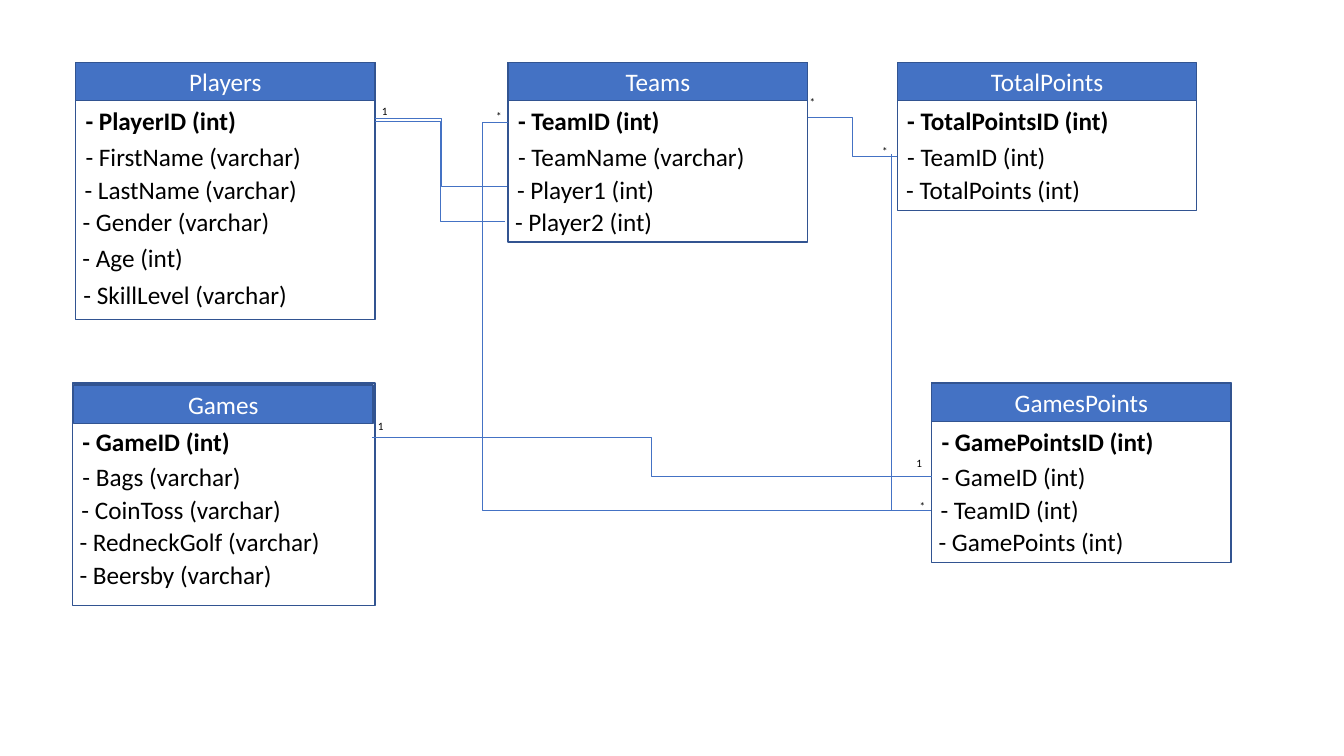
import pptx
import pptx.dml.color
import pptx.enum.shapes
import pptx.enum.text
import pptx.oxml
import pptx.oxml.ns
import pptx.util
from pptx.util import Inches

COLORS = {"header": "4472C4", "border": "325491", "title": "FFFFFF", "text": "000000"}
HEADER_WIDTH, HEADER_HEIGHT = 2.97, 0.38
ROW_SHIFTS = [0, 0, -0.01, -0.03, -0.03, -0.02]
ROW_DROPS = [0.38, 0.73, 1.06, 1.38, 1.74, 2.1]
GAME_DROPS = [0.38, 0.73, 1.06, 1.37, 1.7]

# name, frame (left, top, width, height), header (left, top), row drops, fields with widths
TABLES = [
    ("Players", (0.75, 0.62, 2.97, 2.55), (0.75, 0.62), ROW_DROPS,
     [("PlayerID (int)", 1.8), ("FirstName (varchar)", 2.85), ("LastName (varchar)", 2.31),
      ("Gender (varchar)", 2.31), ("Age (int)", 1.8), ("SkillLevel (varchar)", 2.3)]),
    ("Teams", (5.04, 0.62, 2.97, 1.78), (5.04, 0.62), ROW_DROPS,
     [("TeamID (int)", 1.8), ("TeamName (varchar)", 2.74),
      ("Player1 (int)", 2.36), ("Player2 (int)", 2.34)]),
    ("TotalPoints", (8.9, 0.64, 2.97, 1.45), (8.9, 0.62), ROW_DROPS,
     [("TotalPointsID (int)", 2.57), ("TeamID (int)", 1.8), ("TotalPoints (int)", 2.57)]),
    ("Games", (0.72, 3.8, 3.0, 2.21), (0.73, 3.82), GAME_DROPS,
     [("GameID (int)", 1.8), ("Bags (varchar)", 1.8), ("CoinToss (varchar)", 2.31),
      ("RedneckGolf (varchar)", 2.92), ("Beersby (varchar)", 2.92)]),
    ("GamesPoints", (9.24, 3.8, 2.97, 1.78), (9.24, 3.8), GAME_DROPS,
     [("GamePointsID (int)", 2.33), ("GameID (int)", 2.18),
      ("TeamID (int)", 2.31), ("GamePoints (int)", 2.92)]),
]

# start, end, preset, bend position in 1/100000 of the width
RELATIONS = [
    ((8.01, 1.16), (8.9, 1.55), "bentConnector3", 50000),
    ((5.04, 1.21), (9.23, 5.06), "bentConnector3", -6000),
    ((9.24, 4.73), (3.69, 4.34), "bentConnector3", 50000),
    ((3.72, 1.17), (5.03, 1.85), "bentConnector3", 50000),
    ((3.72, 1.2), (5.01, 2.2), "bentConnector3", 50000),
    ((9.23, 5.06), (8.84, 1.53), "bentConnector2", None),
]

CARDINALITIES = [
    ("1", 3.69, 0.99), ("*", 8.03, 0.9), ("1", 3.65, 4.11), ("1", 8.99, 4.48),
    ("*", 4.92, 1.04), ("*", 9.12, 4.9), ("*", 8.75, 1.38),
]

deck = pptx.Presentation()
deck.slide_width, deck.slide_height = Inches(13.33), Inches(7.5)
page = deck.slides.add_slide(deck.slide_layouts[6])


def write(box, text, color="text", size=18, bold=False, wrap=True):
    """Put one formatted line of text in a box and return its paragraph."""
    box.text_frame.word_wrap = wrap
    para = box.text_frame.paragraphs[0]
    span = para.add_run()
    span.text = text
    formats = {"name": "Calibri", "size": pptx.util.Pt(size), "bold": bold}
    for key, value in formats.items():
        setattr(span.font, key, value)
    span.font.color.rgb = pptx.dml.color.RGBColor.from_string(COLORS[color])
    return para


def add_rectangle(left, top, width, height, fill=None):
    """Add a bordered rectangle, hollow unless a fill is named."""
    box = page.shapes.add_shape(
        pptx.enum.shapes.MSO_SHAPE.RECTANGLE,
        Inches(left), Inches(top), Inches(width), Inches(height))
    box.shadow.inherit = False
    if fill:
        box.fill.solid()
        box.fill.fore_color.rgb = pptx.dml.color.RGBColor.from_string(COLORS[fill])
    else:
        box.fill.background()
    box.line.color.rgb = pptx.dml.color.RGBColor.from_string(COLORS["border"])
    box.line.width = pptx.util.Pt(1)
    return box


for name, frame, header_corner, drops, fields in TABLES:
    add_rectangle(*frame)
    header = add_rectangle(*header_corner, HEADER_WIDTH, HEADER_HEIGHT, "header")
    header.text_frame.vertical_anchor = pptx.enum.text.MSO_ANCHOR.MIDDLE
    write(header, name, "title").alignment = pptx.enum.text.PP_ALIGN.CENTER
    for row, (field, width) in enumerate(fields):
        box = page.shapes.add_textbox(
            Inches(frame[0] + ROW_SHIFTS[row]), Inches(header_corner[1] + drops[row])
            if name != "Games" else Inches(frame[1] + drops[row]),
            Inches(width), Inches(0.4))
        write(box, f"- {field}", bold=row == 0)
        box.text_frame.auto_size = pptx.enum.text.MSO_AUTO_SIZE.SHAPE_TO_FIT_TEXT

for start, end, preset, bend in RELATIONS:
    relation = page.shapes.add_connector(
        pptx.enum.shapes.MSO_CONNECTOR.ELBOW, *map(Inches, start + end))
    relation.line.color.rgb = pptx.dml.color.RGBColor.from_string(COLORS["header"])
    relation.line.width = pptx.util.Pt(0.5)
    properties = relation._element.spPr
    properties.append(pptx.oxml.parse_xml(
        f'<a:effectLst {pptx.oxml.ns.nsdecls("a")}/>'))
    geometry = properties.find(pptx.oxml.ns.qn("a:prstGeom"))
    geometry.set("prst", preset)
    if bend is not None:
        geometry.find(pptx.oxml.ns.qn("a:avLst")).append(pptx.oxml.parse_xml(
            f'<a:gd {pptx.oxml.ns.nsdecls("a")} name="adj1" fmla="val {bend}"/>'))

for symbol, left, top in CARDINALITIES:
    many = symbol == "*"
    label = page.shapes.add_textbox(
        Inches(left), Inches(top), Inches(0.08 if many else 0.26), Inches(0.24))
    write(label, symbol, size=8, wrap=many)
    label.text_frame.auto_size = pptx.enum.text.MSO_AUTO_SIZE.SHAPE_TO_FIT_TEXT

deck.save("out.pptx")
